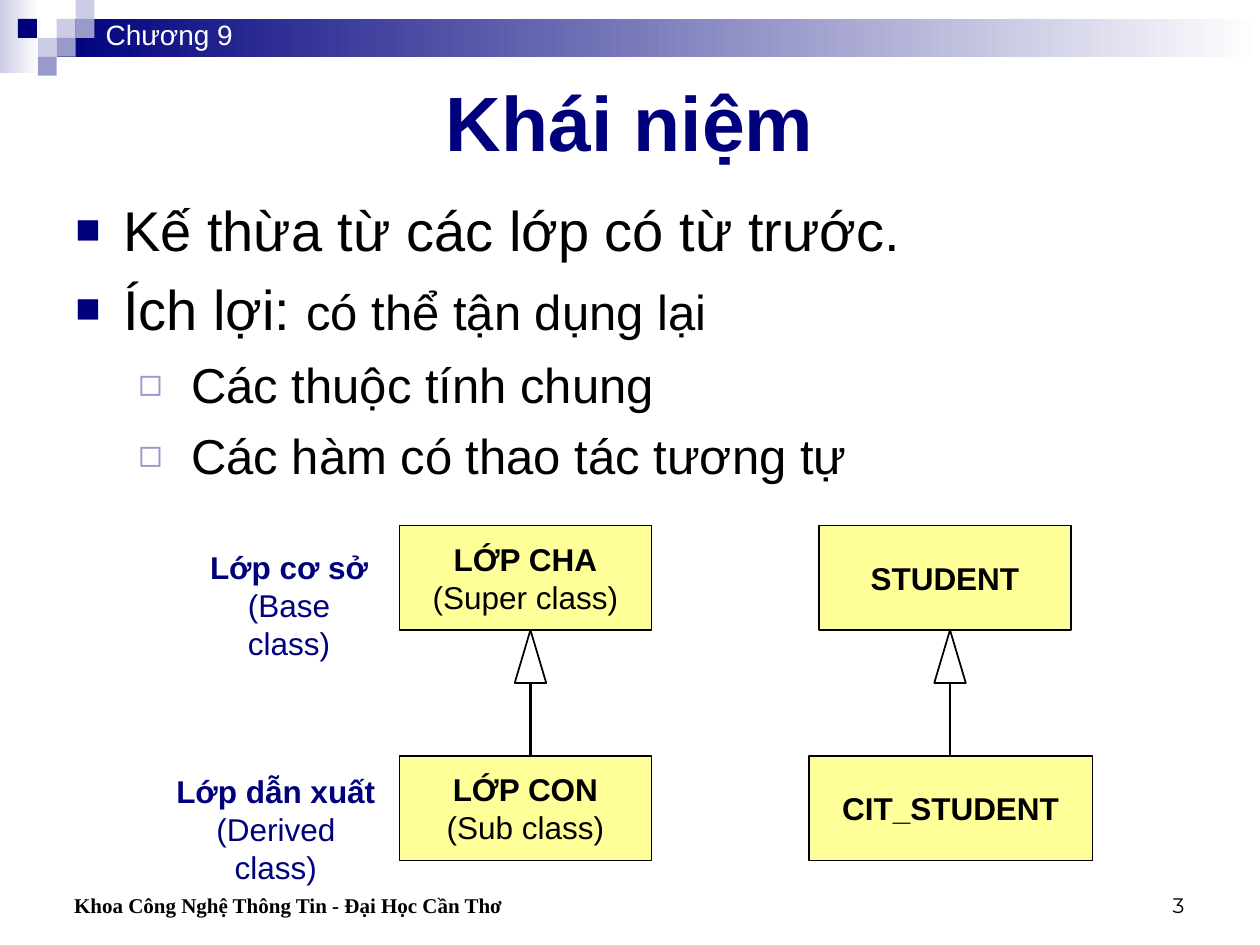
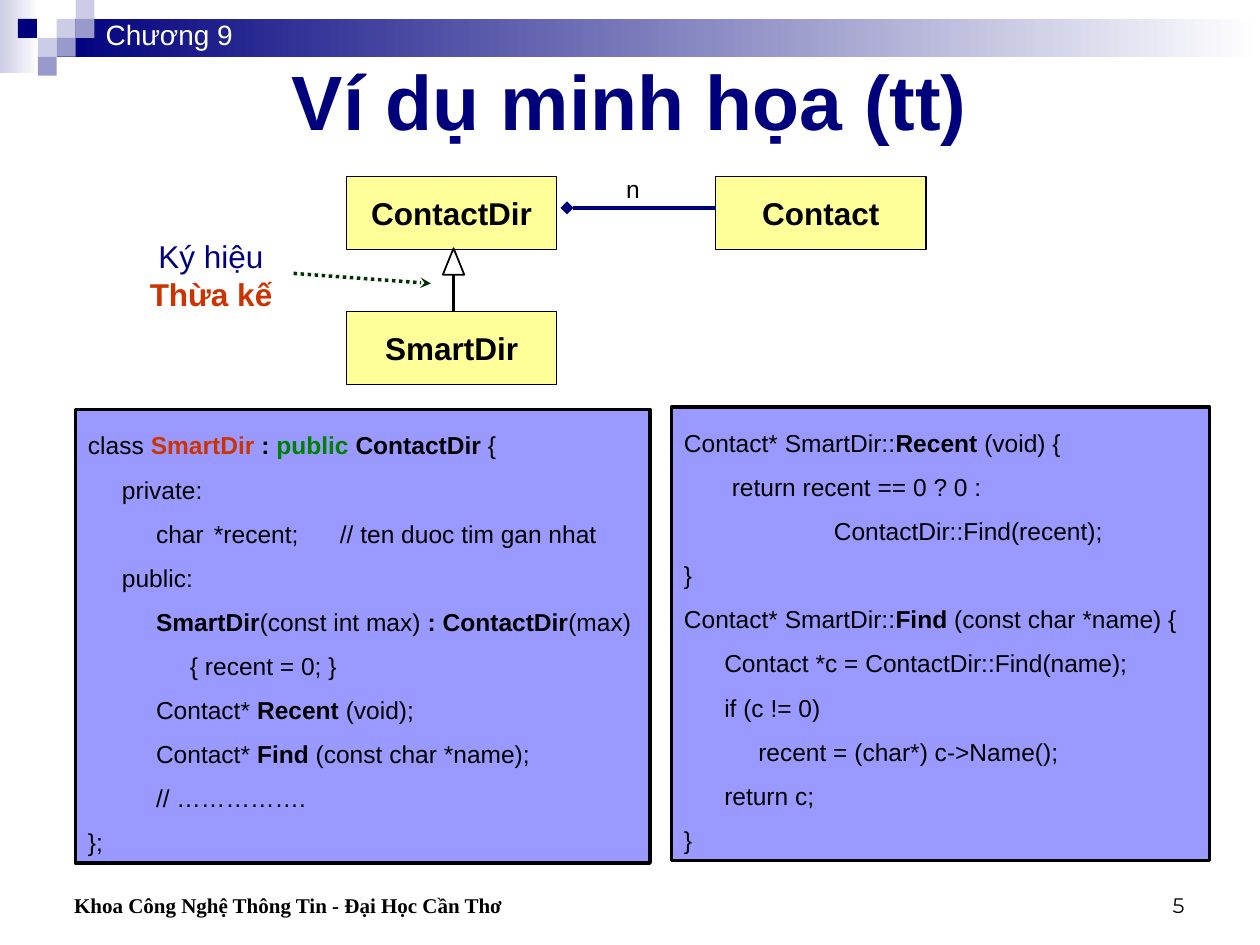
from lxml.etree import SubElement
from pptx import Presentation
from pptx.dml.color import RGBColor
from pptx.enum.dml import MSO_LINE
from pptx.enum.shapes import MSO_CONNECTOR, MSO_SHAPE
from pptx.enum.text import MSO_ANCHOR, PP_ALIGN
from pptx.oxml.ns import qn
from pptx.util import Inches, Pt

COLORS = {
    "navy": "00007D", "lavender": "CCCCE6", "violet": "9999CC",
    "white": "FFFFFF", "black": "000000", "class": "FFFF99",
    "code": "9999FF", "accent": "CC3300", "keyword": "008000",
    "pointer": "003300",
}
CHAPTER = "Chương 9"
FACULTY = "Khoa Công Nghệ Thông Tin - Đại Học Cần Thơ"
TILE = 0.15
CODE_STEP = 0.27


def rgb(name):
    return RGBColor.from_string(COLORS[name])


def inches(box):
    return [Inches(value) for value in box]


def add_run(paragraph, text, size, color="black", bold=False, font="Arial"):
    run = paragraph.add_run()
    run.text = text
    run.font.size = Pt(size)
    run.font.name = font
    run.font.bold = bold
    run.font.color.rgb = rgb(color)


def paragraphs(frame, count):
    """Return count paragraphs, starting with the one the frame has."""
    return [frame.paragraphs[0]] + [frame.add_paragraph() for _ in range(count - 1)]


def set_indent(paragraph, first_line, margin=0):
    properties = paragraph._p.get_or_add_pPr()
    properties.set("marL", str(Inches(margin)))
    properties.set("indent", str(Inches(first_line)))
    return properties


def add_text(slide, box, lines, size, align=PP_ALIGN.LEFT,
             anchor=MSO_ANCHOR.TOP, wrap=True):
    """Each line is one (text, style dict) pair."""
    frame = slide.shapes.add_textbox(*inches(box)).text_frame
    fill_frame(frame, lines, size, align, anchor, wrap)
    return frame


def fill_frame(frame, lines, size, align, anchor, wrap):
    frame.word_wrap = wrap
    frame.vertical_anchor = anchor
    for paragraph, (text, style) in zip(paragraphs(frame, len(lines)), lines):
        paragraph.alignment = align
        add_run(paragraph, text, size, **style)


def add_block(slide, box, fill=None, line=None, width=0.75, preset=MSO_SHAPE.RECTANGLE):
    block = slide.shapes.add_shape(preset, *inches(box))
    block.shadow.inherit = False
    if fill:
        block.fill.solid()
        block.fill.fore_color.rgb = rgb(fill)
    else:
        block.fill.background()
    if line:
        block.line.color.rgb = rgb(line)
        block.line.width = Pt(width)
    else:
        block.line.fill.background()
    return block


def add_fade(slide, box, color):
    """A band that fades from color at the left to white at the right."""
    band = add_block(slide, box)
    band.fill.gradient()
    band.fill.gradient_angle = 180
    for stop, name in zip(band.fill.gradient_stops, ("white", color)):
        stop.color.rgb = rgb(name)


def add_line(slide, start, end, color, width, head=None, tail=None, dash=None):
    line = slide.shapes.add_connector(MSO_CONNECTOR.STRAIGHT, *inches(start + end))
    line.line.color.rgb = rgb(color)
    line.line.width = Pt(width)
    if dash:
        line.line.dash_style = dash
    outline = line.line._get_or_add_ln()
    for tag, kind in (("a:headEnd", head), ("a:tailEnd", tail)):
        if kind:
            SubElement(outline, qn(tag), type=kind)
    SubElement(line._element.spPr, qn("a:effectLst"))


def add_header(slide):
    add_fade(slide, (0, 0, 0.31, 0.58), "lavender")
    add_fade(slide, (0.45, 0.15, 9.55, 0.3), "navy")
    tiles = [(3, 1, "lavender"), (4, 0, "lavender"), (4, 1, "violet"),
             (2, 2, "lavender"), (0.95, 1, "navy"), (3, 2, "violet"),
             (2, 3, "violet")]
    for column, row, color in tiles:
        add_block(slide, (column * TILE, row * TILE, TILE, TILE), color)
    add_text(slide, (0.74, 0.09, 1.75, 0.37), [(CHAPTER, {"color": "white"})], 16)


def add_footer(slide, number):
    faculty = add_text(slide, (0.25, 6.83, 4.83, 0.5),
                       [(FACULTY, {"bold": True, "font": "Times New Roman"})],
                       12, anchor=MSO_ANCHOR.BOTTOM)
    set_indent(faculty.paragraphs[0], 0, 0.24)
    add_text(slide, (7.17, 6.83, 2.33, 0.5), [(str(number), {"font": "Montserrat"})],
             12, PP_ALIGN.RIGHT, MSO_ANCHOR.BOTTOM)


def add_base(deck, title, title_top, number):
    slide = deck.slides.add_slide(deck.slide_layouts[6])
    add_header(slide)
    add_text(slide, (0.5, title_top, 9, 0.92), [(title, {"color": "navy", "bold": True})],
             44, PP_ALIGN.CENTER, MSO_ANCHOR.MIDDLE)
    add_footer(slide, number)
    return slide


def add_bullets(slide, box, items):
    """Each item is (level, space before, runs as (text, size))."""
    levels = [(0.38, -0.38, "■", "navy", 75), (0.92, -0.42, "◻", "violet", 80)]
    frame = slide.shapes.add_textbox(*inches(box)).text_frame
    frame.word_wrap = True
    for paragraph, (level, space, runs) in zip(paragraphs(frame, len(items)), items):
        margin, hanging, mark, color, percent = levels[level]
        paragraph.level = level
        paragraph.space_before = Pt(space)
        properties = set_indent(paragraph, hanging, margin)
        tint = SubElement(properties, qn("a:buClr"))
        SubElement(tint, qn("a:srgbClr"), val=COLORS[color])
        SubElement(properties, qn("a:buSzPct"), val=str(percent * 1000))
        SubElement(properties, qn("a:buFont"), typeface="Arial")
        SubElement(properties, qn("a:buChar"), char=mark)
        for text, size in runs:
            add_run(paragraph, text, size)


def add_class(slide, box, name, note=None):
    lines = [(name, {"bold": True})] + ([(note, {})] if note else [])
    block = add_block(slide, box, "class", "black")
    fill_frame(block.text_frame, lines, 18, PP_ALIGN.CENTER, MSO_ANCHOR.MIDDLE, False)


def add_inheritance(slide, center, top, bottom, head_width, head_height):
    """A UML generalisation: hollow triangle on top of a stem."""
    neck = top + head_height
    add_line(slide, (center, bottom), (center, neck), "black", 1.5)
    add_block(slide, (center - head_width / 2, top, head_width, head_height),
              line="black", width=1, preset=MSO_SHAPE.ISOSCELES_TRIANGLE)


def add_label(slide, box, lines):
    add_text(slide, box, lines, 18, PP_ALIGN.CENTER, wrap=False)


def add_code(slide, box, lines, tabs=()):
    """Each line is (indent, runs as (text, style dict))."""
    panel = add_block(slide, box, "code", "black", 2)
    frame = panel.text_frame
    frame.word_wrap = True
    frame.vertical_anchor = MSO_ANCHOR.MIDDLE
    for paragraph, (indent, runs) in zip(paragraphs(frame, len(lines)), lines):
        paragraph.alignment = PP_ALIGN.LEFT
        paragraph.line_spacing = 1.5
        properties = set_indent(paragraph, indent)
        if tabs:
            stops = SubElement(properties, qn("a:tabLst"))
            for position in tabs:
                SubElement(stops, qn("a:tab"), pos=str(Inches(position)), algn="l")
        for text, style in runs:
            add_run(paragraph, text, 14, **style)


def build_concept(deck):
    slide = add_base(deck, "Khái niệm", 0.5, 3)
    add_bullets(slide, (0.5, 1.5, 9, 2.5), [
        (0, 8, [("Kế thừa từ các lớp có từ trước.", 32)]),
        (0, 7, [("Ích lợi: ", 32), ("có thể tận dụng lại", 28)]),
        (1, 7, [("Các thuộc tính chung", 28)]),
        (1, 7, [("Các hàm có thao tác tương tự", 28)]),
    ])
    parent_top, child_top, height = 4.17, 6, 0.83
    add_class(slide, (3.17, parent_top, 2, height), "LỚP CHA", "(Super class)")
    add_class(slide, (3.17, child_top, 2, height), "LỚP CON", "(Sub class)")
    add_class(slide, (6.5, parent_top, 2, height), "STUDENT")
    add_class(slide, (6.42, child_top, 2.25, height), "CIT_STUDENT")
    for center in (4.21, 7.54):
        add_inheritance(slide, center, parent_top + height, child_top, 0.25, 0.42)
    navy = {"color": "navy"}
    bold_navy = {"color": "navy", "bold": True}
    add_label(slide, (1.51, 4.3, 1.57, 0.7),
              [("Lớp cơ sở", bold_navy), ("(Base class)", navy)])
    add_label(slide, (1.26, 6.08, 1.86, 0.7),
              [("Lớp dẫn xuất", bold_navy), ("(Derived class)", navy)])


def add_contact_diagram(slide, left, top):
    width, height = 1.67, 0.58
    contact_left, child_top = left + 2.93, top + 1.07
    add_class(slide, (left, top, width, height), "ContactDir")
    add_class(slide, (contact_left, top, width, height), "Contact")
    add_class(slide, (left, child_top, width, height), "SmartDir")
    add_line(slide, (left + 1.75, top + 0.25), (contact_left, top + 0.25),
             "navy", 2.5, head="diamond")
    add_text(slide, (left + 2.12, top - 0.07, 0.31, 0.34), [("n", {})], 14, wrap=False)
    add_inheritance(slide, left + 0.85, top + 0.57, child_top, 0.17, 0.21)
    add_label(slide, (left - 1.66, top + 0.43, 1.17, 0.7),
              [("Ký hiệu", {"color": "navy"}),
               ("Thừa kế", {"color": "accent", "bold": True})])
    add_line(slide, (left - 0.42, top + 0.77), (left + 0.67, top + 0.85),
             "pointer", 2, tail="stealth", dash=MSO_LINE.ROUND_DOT)


def build_example(deck):
    slide = add_base(deck, "Ví dụ minh họa (tt)", 0.33, 5)
    add_contact_diagram(slide, 2.75, 1.4)
    plain, bold = {}, {"bold": True}
    member = 2 * CODE_STEP
    add_code(slide, (0.6, 3.25, 4.56, 3.6), [
        (0, [("class ", plain), ("SmartDir", {"bold": True, "color": "accent"}),
             (" : ", bold), ("public ", {"bold": True, "color": "keyword"}),
             ("ContactDir", bold), (" {", plain)]),
        (CODE_STEP, [("private:", plain)]),
        (member, [("char\t*recent;\t// ten duoc tim gan nhat", plain)]),
        (CODE_STEP, [("public:", plain)]),
        (member, [("SmartDir", bold), ("(const int max) ", plain),
                  (": ContactDir", bold), ("(max)", plain)]),
        (3 * CODE_STEP, [("{ recent = 0; }", plain)]),
        (member, [("Contact* ", plain), ("Recent", bold), (" (void);", plain)]),
        (member, [("Contact* ", plain), ("Find", bold),
                  (" (const char *name);", plain)]),
        (member, [("// …………….", plain)]),
        (0, [("};", plain)]),
    ], tabs=(1.18, 2.07))
    body = 0.32
    add_code(slide, (5.33, 3.23, 4.27, 3.6), [
        (0, [("Contact* SmartDir::", plain), ("Recent", bold), (" (void) {", plain)]),
        (0.38, [("return recent == 0 ? 0 :", plain)]),
        (1.19, [("ContactDir::Find(recent);", plain)]),
        (0, [("}", plain)]),
        (0, [("Contact* SmartDir::", plain), ("Find", bold),
             (" (const char *name) {", plain)]),
        (body, [("Contact *c = ContactDir::Find(name);", plain)]),
        (body, [("if (c != 0)", plain)]),
        (body + CODE_STEP, [("recent = (char*) c->Name();", plain)]),
        (body, [("return c;", plain)]),
        (0, [("}", plain)]),
    ])


def main():
    deck = Presentation()
    deck.slide_width, deck.slide_height = Inches(10), Inches(7.5)
    build_concept(deck)
    build_example(deck)
    deck.save("out.pptx")


if __name__ == "__main__":
    main()
